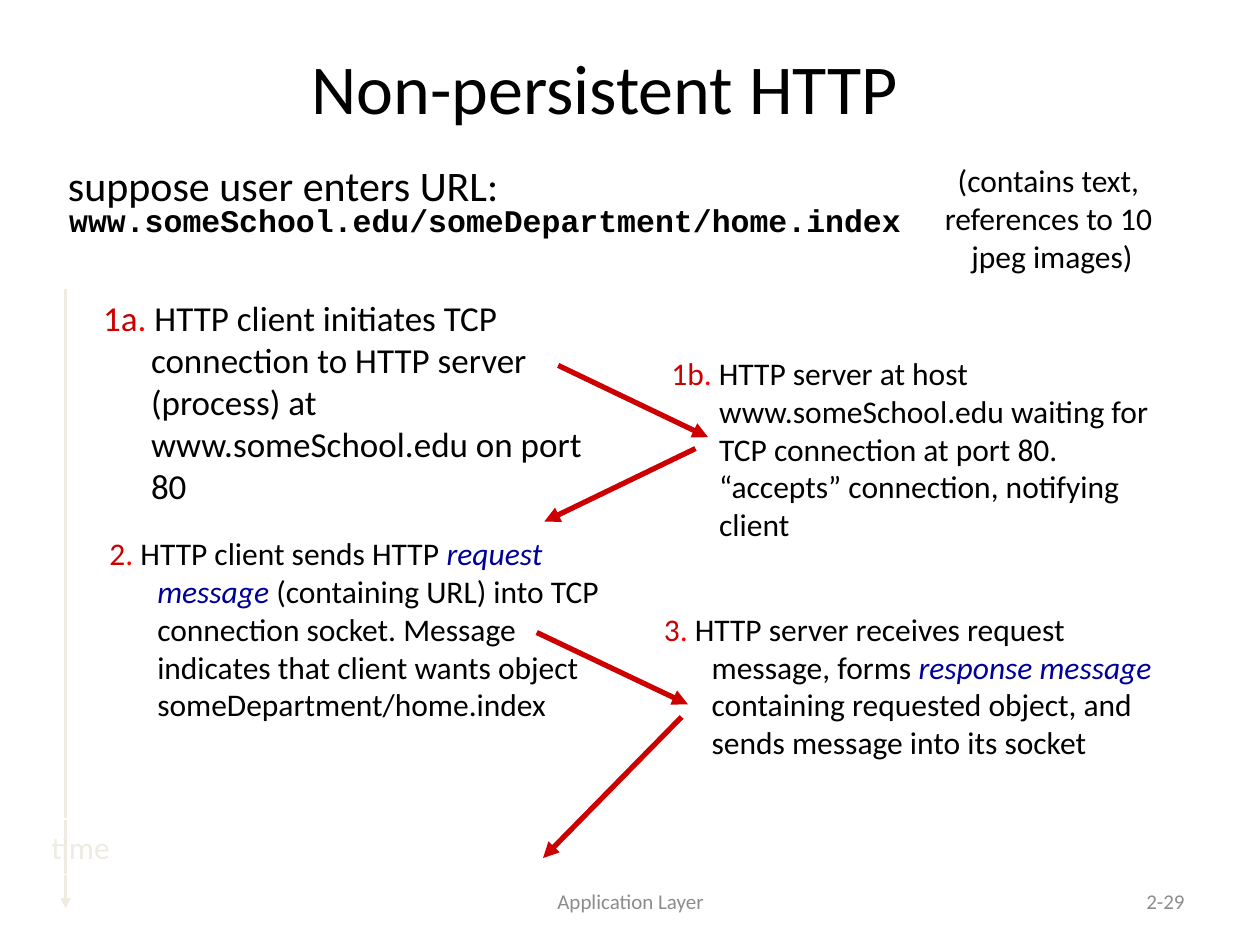
"""Build the slide on non-persistent HTTP with its client and server message exchange."""
from dataclasses import dataclass
from typing import NamedTuple

from lxml import etree
from pptx import Presentation
from pptx import util as u
from pptx.dml.color import RGBColor
from pptx.enum import shapes, text
from pptx.oxml import ns
from pptx.slide import Slide

PX = u.Inches(1) // 100
HANGING = 38


@dataclass(frozen=True)
class Theme:
    sans: str = "Calibri"
    mono: str = "Courier New"
    ink: str = "000000"
    step: str = "CC0000"
    stop: str = "FF0000"
    term: str = "000099"
    footer: str = "8C8C8C"
    timeline: str = "EEECE1"
    paper: str = "FFFFFF"
    title_size: int = 40
    lead_size: int = 24
    first_step_size: int = 20
    body_size: int = 18
    footer_size: int = 12
    arrow_width: float = 3
    timeline_width: float = 1.5
    frame_width: float = 0.75


THEME = Theme()


class Box(NamedTuple):
    left: int
    top: int
    width: int
    height: int


class Span(NamedTuple):
    words: str
    color: str = THEME.ink
    italic: bool = False


@dataclass(frozen=True)
class Passage:
    box: Box
    lines: tuple[tuple[Span, ...], ...]
    size: int = THEME.body_size
    font: str = THEME.sans
    align: text.PP_ALIGN = text.PP_ALIGN.LEFT
    anchor: text.MSO_ANCHOR = text.MSO_ANCHOR.TOP
    hanging: bool = False
    wrap: bool = True
    bold: bool = False
    spacing: float | None = None


@dataclass(frozen=True)
class Arrow:
    start: tuple[int, int]
    end: tuple[int, int]
    color: str = THEME.step
    width: float = THEME.arrow_width


def step(box: Box, number: str, *spans: Span, size: int = THEME.body_size) -> Passage:
    """Return a numbered step with a hanging indent."""
    label = (Span(number, THEME.step), Span(".", THEME.stop))
    return Passage(box, ((*label, *spans),), size, hanging=True)


def term(words: str) -> Span:
    """Return an emphasised protocol term."""
    return Span(words, THEME.term, True)


CENTER, RIGHT = text.PP_ALIGN.CENTER, text.PP_ALIGN.RIGHT
MIDDLE = text.MSO_ANCHOR.MIDDLE

PASSAGES = (
    Passage(Box(342, 695, 317, 40), ((Span("Application Layer", THEME.footer),),),
            THEME.footer_size, align=CENTER, anchor=MIDDLE),
    Passage(Box(717, 695, 233, 40), ((Span("2-29", THEME.footer),),),
            THEME.footer_size, align=RIGHT, anchor=MIDDLE),
    Passage(Box(55, 21, 850, 95), ((Span("Non-persistent HTTP"),),),
            THEME.title_size, align=CENTER, anchor=MIDDLE),
    Passage(Box(44, 122, 869, 51), ((Span("suppose user enters URL:"),),),
            THEME.lead_size, hanging=True),
    step(Box(72, 230, 431, 208), "1a",
         Span(" HTTP client initiates TCP connection to HTTP server (process) at "
              "www.someSchool.edu on port 80"), size=THEME.first_step_size),
    step(Box(77, 419, 417, 118), "2", Span(" HTTP client sends HTTP "),
         term("request message"),
         Span(" (containing URL) into TCP connection socket. Message indicates "
              "that client wants object someDepartment/home.index")),
    step(Box(523, 276, 417, 165), "1b",
         Span(" HTTP server at host www.someSchool.edu waiting for TCP connection "
              "at port 80. “accepts” connection, notifying client")),
    step(Box(517, 479, 417, 197), "3",
         Span(" HTTP server receives request message, forms "),
         term("response message"),
         Span(" containing requested object, and sends message into its socket")),
    Passage(Box(731, 123, 208, 100),
            ((Span("(contains text, "),), (Span("references to 10 "),),
             (Span("jpeg images)"),)), align=CENTER, wrap=False),
    Passage(Box(45, 159, 869, 51),
            ((Span("www.someSchool.edu/someDepartment/home.index"),),),
            font=THEME.mono, hanging=True, bold=True, spacing=0.85),
)

TIMELINE = Arrow((52, 229), (52, 721), THEME.timeline, THEME.timeline_width)
TIME_LABEL = Passage(Box(27, 650, 74, 44), ((Span("time", THEME.timeline),),),
                     align=CENTER, anchor=MIDDLE, wrap=False)
MESSAGES = (
    Arrow((443, 290), (562, 347)),
    Arrow((552, 356), (432, 414)),
    Arrow((426, 502), (546, 559)),
    Arrow((541, 569), (431, 681)),
)


def rgb(color: str) -> RGBColor:
    """Turn a hex string into a colour."""
    return RGBColor.from_string(color)


def write(frame, passage: Passage) -> None:
    """Fill a text frame with the styled lines of a passage."""
    frame.word_wrap = passage.wrap
    frame.vertical_anchor = passage.anchor
    for index, spans in enumerate(passage.lines):
        paragraph = frame.add_paragraph() if index else frame.paragraphs[0]
        paragraph.alignment = passage.align
        paragraph.line_spacing = passage.spacing
        paragraph.font.size = u.Pt(passage.size)
        paragraph.font.name = passage.font
        paragraph.font.bold = passage.bold
        if passage.hanging:
            properties = paragraph._p.get_or_add_pPr()
            properties.set("marL", str(HANGING * PX))
            properties.set("indent", str(-HANGING * PX))
        for span in spans:
            run = paragraph.add_run()
            run.text = span.words
            run.font.color.rgb = rgb(span.color)
            run.font.italic = span.italic


def draw_passage(slide: Slide, passage: Passage) -> None:
    """Place a passage in its own text box."""
    box = slide.shapes.add_textbox(*(side * PX for side in passage.box))
    write(box.text_frame, passage)


def draw_arrow(slide: Slide, arrow: Arrow) -> None:
    """Draw a straight line with a triangle at its end."""
    ends = (value * PX for value in (*arrow.start, *arrow.end))
    connector = slide.shapes.add_connector(shapes.MSO_CONNECTOR.STRAIGHT, *ends)
    connector.line.color.rgb = rgb(arrow.color)
    connector.line.width = u.Pt(arrow.width)
    outline = connector.line._get_or_add_ln()
    etree.SubElement(outline, ns.qn("a:tailEnd"), type="triangle")
    etree.SubElement(connector._element.spPr, ns.qn("a:effectLst"))


def draw_time_label(slide: Slide, label: Passage) -> None:
    """Draw the framed label of the timeline."""
    frame = slide.shapes.add_shape(shapes.MSO_SHAPE.RECTANGLE,
                                   *(side * PX for side in label.box))
    frame.shadow.inherit = False
    frame.fill.background()
    frame.line.color.rgb = rgb(THEME.paper)
    frame.line.width = u.Pt(THEME.frame_width)
    write(frame.text_frame, label)


def main() -> None:
    """Assemble and save the slide."""
    deck = Presentation()
    deck.slide_width, deck.slide_height = 1000 * PX, 750 * PX
    slide = deck.slides.add_slide(deck.slide_layouts[6])
    draw_arrow(slide, TIMELINE)
    for passage in PASSAGES:
        draw_passage(slide, passage)
    for message in MESSAGES:
        draw_arrow(slide, message)
    draw_time_label(slide, TIME_LABEL)
    deck.save("out.pptx")


if __name__ == "__main__":
    main()
